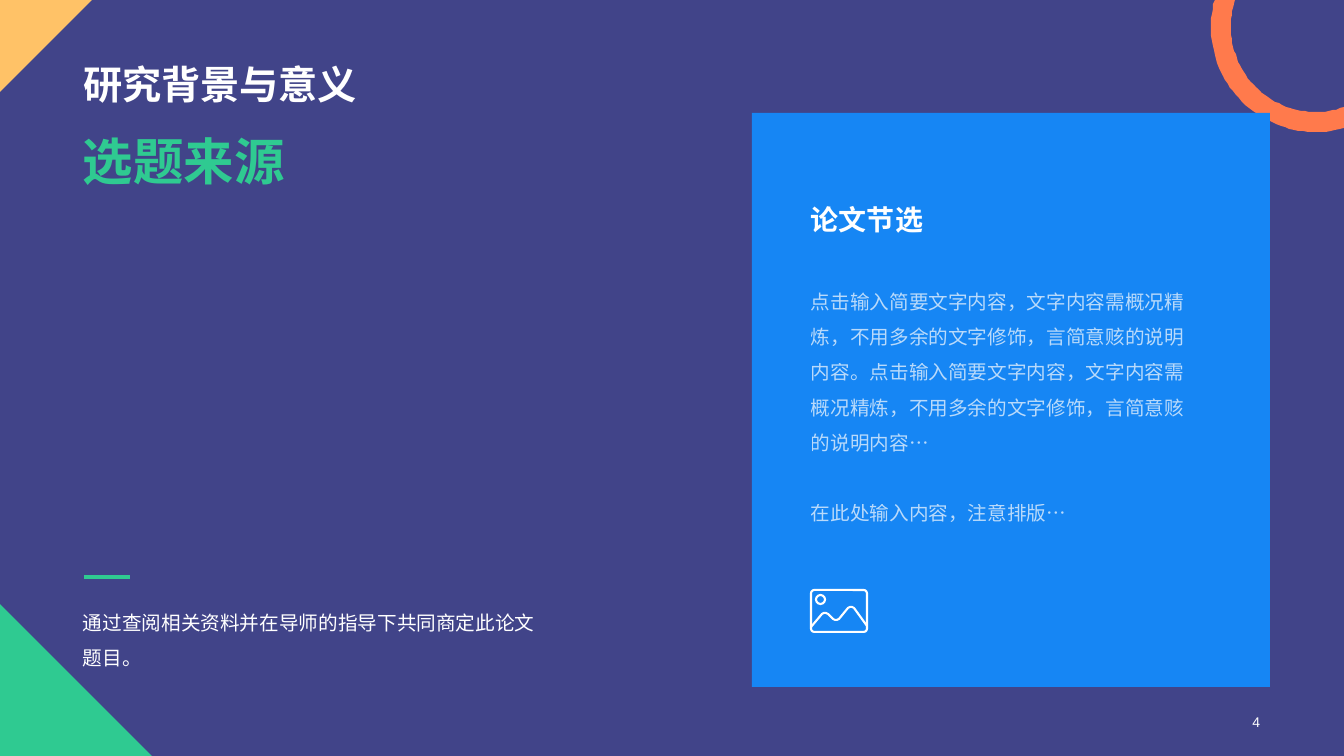
from math import acos, asin, cos, pi, sin

from lxml.etree import SubElement
from pptx import Presentation
from pptx.dml.color import RGBColor
from pptx.enum.lang import MSO_LANGUAGE_ID
from pptx.enum.shapes import MSO_CONNECTOR, MSO_SHAPE
from pptx.enum.text import MSO_ANCHOR, MSO_AUTO_SIZE, PP_ALIGN
from pptx.oxml.ns import qn
from pptx.util import Pt

WIDTH, HEIGHT = 1344, 756
EMU_PER_PX = 12192000 / WIDTH
FONT = "Arial"
COLORS = {
    "background": "414489",
    "card": "1686F4",
    "green": "2FCA91",
    "orange": "FF7A4C",
    "yellow": "FFC267",
    "white": "FFFFFF",
}


def px(*lengths):
    return [round(length * EMU_PER_PX) for length in lengths]


def color(name):
    return RGBColor.from_string(COLORS[name])


def style_shape(shape, fill=None, line=None, weight=1.5):
    shape.shadow.inherit = False
    if fill:
        shape.fill.solid()
        shape.fill.fore_color.rgb = color(fill)
    else:
        shape.fill.background()
    if line:
        shape.line.color.rgb = color(line)
        shape.line.width = Pt(weight)
    else:
        shape.line.fill.background()


def add_outline(slide, points, close=True, **style):
    builder = slide.shapes.build_freeform(*points[0], scale=EMU_PER_PX)
    builder.add_line_segments(points[1:], close=close)
    style_shape(builder.convert_to_shape(), **style)


def add_preset(slide, preset, frame, **style):
    shape = slide.shapes.add_shape(preset, *px(*frame))
    style_shape(shape, **style)
    return shape


def arc(center, radius, start, end, steps=48):
    """Points along a circle, with angles in radians measured clockwise."""
    x, y = center
    angles = [start + (end - start) * step / steps for step in range(steps + 1)]
    return [(x + radius * cos(angle), y + radius * sin(angle)) for angle in angles]


def add_corner_ring(slide, center, outer, inner):
    """Ring cut off by the top and right edges of the slide."""
    x, y = center

    def visible_arc(radius):
        return arc(center, radius, acos((WIDTH - x) / radius), pi + asin(y / radius))

    points = visible_arc(outer) + visible_arc(inner)[::-1]
    add_outline(slide, points, fill="orange")


def set_text(box, paragraphs, size, tint="white", bold=False, opacity=None,
             spacing=1.0, gap=0, align=PP_ALIGN.LEFT, anchor=MSO_ANCHOR.TOP,
             wrap=True):
    frame = box.text_frame
    frame.text = "\n".join(paragraphs)
    frame.word_wrap = wrap
    frame.auto_size = MSO_AUTO_SIZE.NONE
    frame.vertical_anchor = anchor
    for index, para in enumerate(frame.paragraphs):
        para.alignment = align
        para.line_spacing = spacing
        para.space_before = Pt(gap if index else 0)
        for span in para.runs:
            font = span.font
            font.name, font.size, font.bold = FONT, Pt(size), bold
            font.language_id = MSO_LANGUAGE_ID.SIMPLIFIED_CHINESE
            font.color.rgb = color(tint)
            if opacity:
                for fill in font._element.iter(qn("a:srgbClr")):
                    SubElement(fill, qn("a:alpha"), val=str(opacity * 1000))


def add_text(slide, frame, *paragraphs, **style):
    set_text(slide.shapes.add_textbox(*px(*frame)), paragraphs, **style)


def add_rule(slide, start, end, tint, weight):
    rule = slide.shapes.add_connector(MSO_CONNECTOR.STRAIGHT, *px(*start, *end))
    rule.line.color.rgb = color(tint)
    rule.line.width = Pt(weight)
    SubElement(rule._element.spPr, qn("a:effectLst"))


def add_landscape_icon(slide, left, top):
    frame = add_preset(slide, MSO_SHAPE.ROUNDED_RECTANGLE,
                       (left, top, 56, 42), line="white")
    frame.adjustments[0] = 0.08
    add_preset(slide, MSO_SHAPE.OVAL, (left + 5, top + 5, 9, 9), line="white")
    hills = [(0, 37), (11, 24), (13, 23), (15, 23), (17, 24), (22, 29),
             (24, 30), (26, 30), (28, 29), (37, 18), (39, 17), (41, 17),
             (43, 18), (56, 36)]
    points = [(left + x, top + y) for x, y in hills]
    add_outline(slide, points, close=False, line="white")


def main():
    deck = Presentation()
    deck.slide_width, deck.slide_height = px(WIDTH, HEIGHT)
    slide = deck.slides.add_slide(deck.slide_layouts[5])
    slide.background.fill.solid()
    slide.background.fill.fore_color.rgb = color("background")

    add_outline(slide, [(0, 604), (152, HEIGHT), (0, HEIGHT)], fill="green")
    add_corner_ring(slide, (1316, 27), outer=105, inner=85)
    add_outline(slide, [(0, 0), (92, 0), (0, 92)], fill="yellow")

    title = slide.shapes.title
    title.left, title.top, title.width, title.height = px(73, 0, 1198, 113)
    set_text(title, ["研究背景与意义"], size=28, bold=True, spacing=0.9,
             anchor=MSO_ANCHOR.BOTTOM)
    add_text(slide, (977, 710, 293, 24), "4", size=10, align=PP_ALIGN.RIGHT,
             anchor=MSO_ANCHOR.MIDDLE)

    add_preset(slide, MSO_SHAPE.RECTANGLE, (752, 113, 518, 574), fill="card")
    add_text(slide, (801, 197, 133, 44), "论文节选", size=20, bold=True,
             anchor=MSO_ANCHOR.BOTTOM, wrap=False)
    add_text(slide, (801, 273, 412, 220),
             "点击输入简要文字内容，文字内容需概况精炼，不用多余的文字修饰，"
             "言简意赅的说明内容。点击输入简要文字内容，文字内容需概况精炼，"
             "不用多余的文字修饰，言简意赅的说明内容…",
             "在此处输入内容，注意排版…",
             size=14, opacity=70, spacing=1.5, gap=25)
    add_landscape_icon(slide, 811, 590)

    add_text(slide, (73, 125, 483, 72), "选题来源", size=36, tint="green", bold=True)
    add_rule(slide, (84, 577), (130, 577), "green", 3)
    add_text(slide, (73, 594, 483, 78),
             "通过查阅相关资料并在导师的指导下共同商定此论文题目。",
             size=14, spacing=1.5)
    deck.save("out.pptx")


if __name__ == "__main__":
    main()
